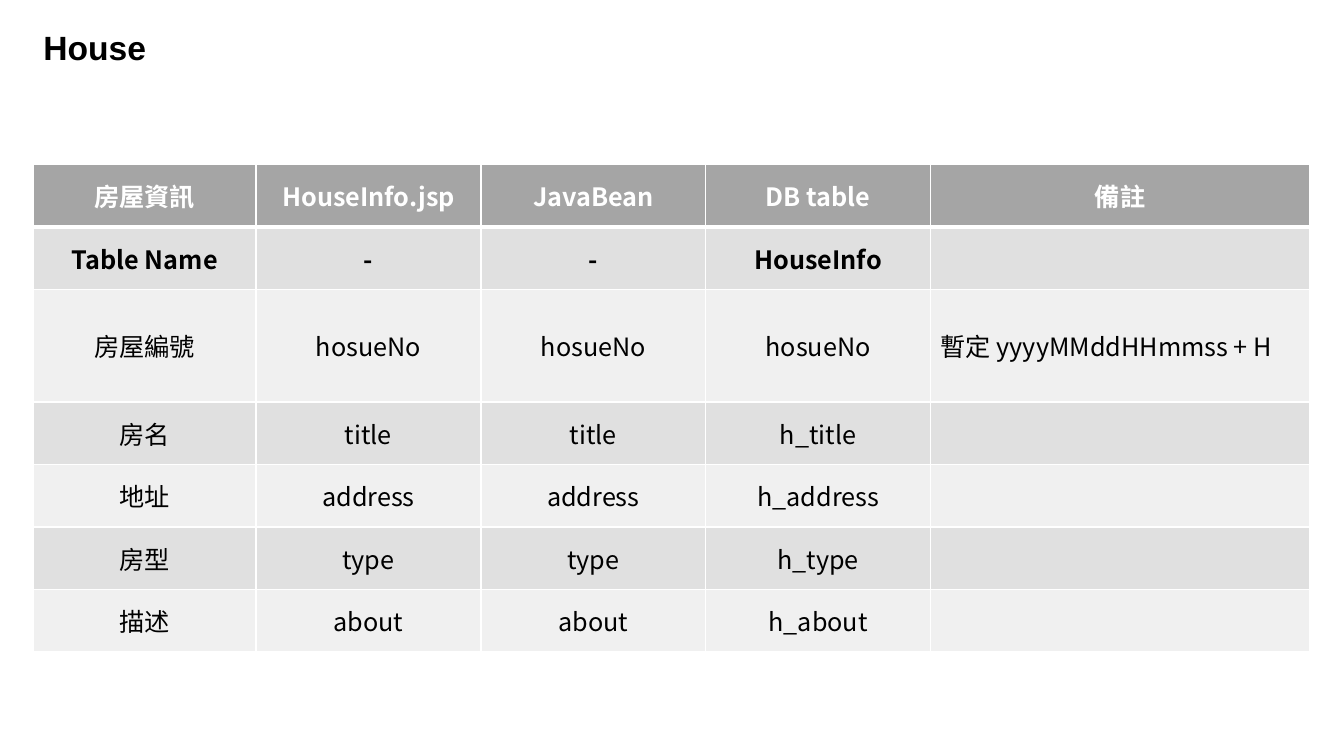
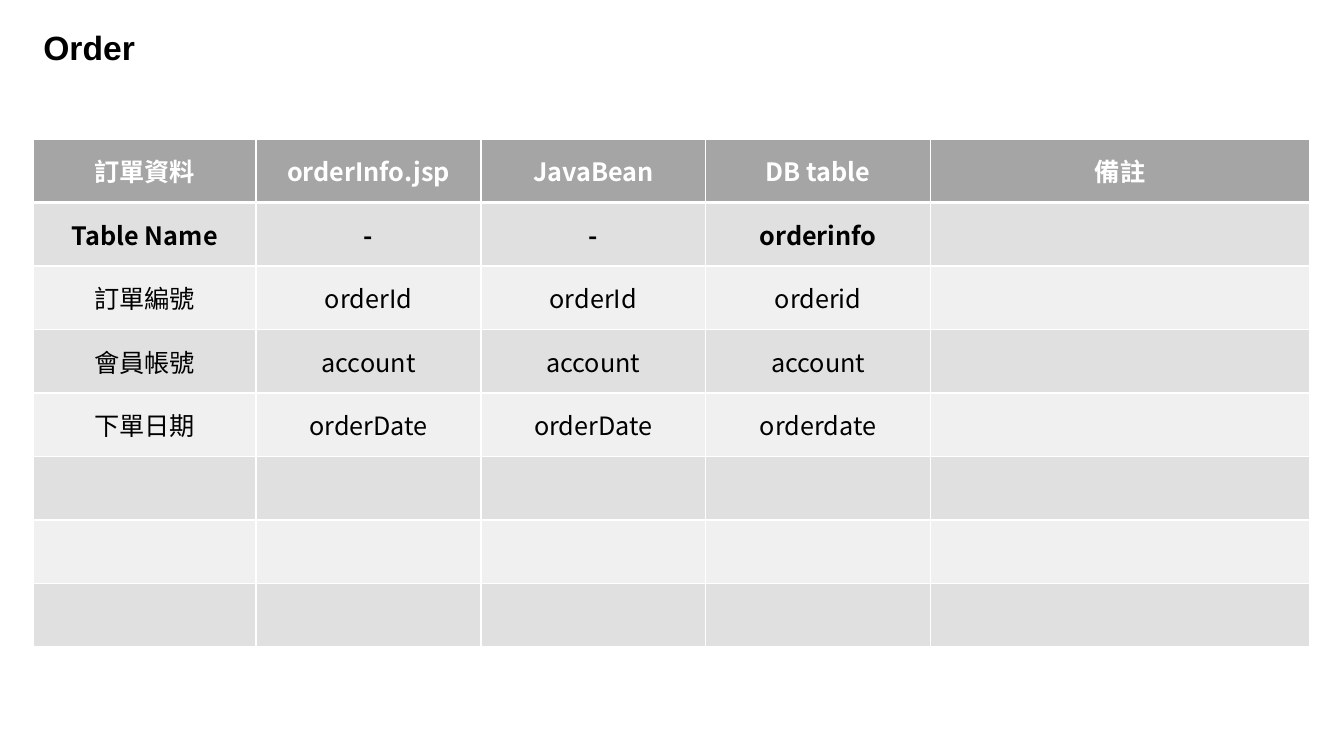
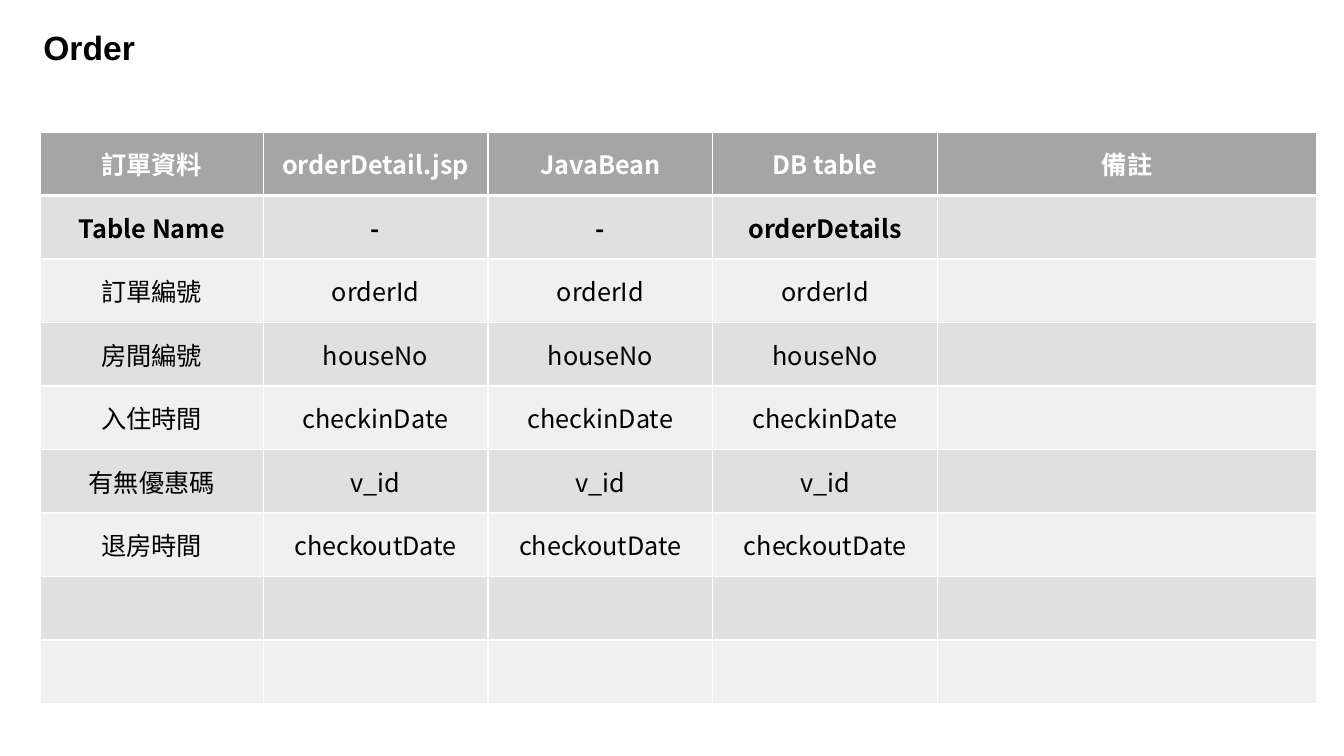
from lxml.etree import SubElement
from pptx import Presentation
from pptx.dml.color import RGBColor
from pptx.enum.text import MSO_ANCHOR, MSO_AUTO_SIZE, PP_ALIGN
from pptx.oxml.ns import qn
from pptx.util import Emu, Pt

COLORS = {
    "white": "FFFFFF",
    "black": "000000",
    "header": "A5A5A5",
    "band_dark": "E0E0E0",
    "band_light": "F0F0F0",
}
TITLE_FONT = "Arial"
TABLE_FONT = "Noto Sans CJK TC"
COL_WIDTHS = [221, 223, 223, 223, 376]
TITLE_BOX = (33, 22, 151, 50)

HOUSE = [
    ["房屋資訊", "HouseInfo.jsp", "JavaBean", "DB table", "備註"],
    ["Table Name", "-", "-", "HouseInfo", ""],
    ["房屋編號", "hosueNo", "hosueNo", "hosueNo", "暫定 yyyyMMddHHmmss + H"],
    ["房名", "title", "title", "h_title", ""],
    ["地址", "address", "address", "h_address", ""],
    ["房型", "type", "type", "h_type", ""],
    ["描述", "about", "about", "h_about", ""],
]
EMPTY_ROW = [""] * len(COL_WIDTHS)
ORDER_INFO = [
    ["訂單資料", "orderInfo.jsp", "JavaBean", "DB table", "備註"],
    ["Table Name", "-", "-", "orderinfo", ""],
    ["訂單編號", "orderId", "orderId", "orderid", ""],
    ["會員帳號", "account", "account", "account", ""],
    ["下單日期", "orderDate", "orderDate", "orderdate", ""],
] + [EMPTY_ROW] * 3
ORDER_DETAIL = [
    ["訂單資料", "orderDetail.jsp", "JavaBean", "DB table", "備註"],
    ["Table Name", "-", "-", "orderDetails", ""],
    ["訂單編號", "orderId", "orderId", "orderId", ""],
    ["房間編號", "houseNo", "houseNo", "houseNo", ""],
    ["入住時間", "checkinDate", "checkinDate", "checkinDate", ""],
    ["有無優惠碼", "v_id", "v_id", "v_id", ""],
    ["退房時間", "checkoutDate", "checkoutDate", "checkoutDate", ""],
] + [EMPTY_ROW] * 2


def px(n):
    """Convert px to EMU at 100 px to the inch."""
    return Emu(n * 9144)


def color(name):
    return RGBColor.from_string(COLORS[name])


def style_font(font, name, size, color_name, bold):
    font.name = name
    font.size = Pt(size)
    font.bold = bold
    font.color.rgb = color(color_name)


def add_titled_slide(prs, title):
    s = prs.slides.add_slide(prs.slide_layouts[5])
    sp = s.shapes.title
    sp.left, sp.top, sp.width, sp.height = map(px, TITLE_BOX)
    tf = sp.text_frame
    tf.text = title
    tf.word_wrap = True
    tf.auto_size = MSO_AUTO_SIZE.SHAPE_TO_FIT_TEXT
    tf.vertical_anchor = MSO_ANCHOR.TOP
    p = tf.paragraphs[0]
    p.alignment = PP_ALIGN.LEFT
    style_font(p.runs[0].font, TITLE_FONT, 24, "black", True)
    return s


def set_borders(cell, top, bottom):
    """Draw white borders; top and bottom are widths in points."""
    tcPr = cell._tc.get_or_add_tcPr()
    for side, width in (("L", 1), ("R", 1), ("T", top), ("B", bottom)):
        ln = SubElement(tcPr, qn(f"a:ln{side}"), w=str(Pt(width)))
        fill = SubElement(ln, qn("a:solidFill"))
        SubElement(fill, qn("a:srgbClr"), val=COLORS["white"])


def fill_cell(cell, text, row, align):
    set_borders(cell, top=3 if row == 1 else 1, bottom=3 if row == 0 else 1)
    band = "header" if row == 0 else "band_dark" if row % 2 else "band_light"
    cell.fill.solid()
    cell.fill.fore_color.rgb = color(band)
    cell.vertical_anchor = MSO_ANCHOR.MIDDLE
    if not text:
        return
    cell.text = text
    p = cell.text_frame.paragraphs[0]
    p.alignment = align
    r = p.runs[0]
    style_font(r.font, TABLE_FONT, 18, "black" if row else "white", row < 2)
    SubElement(r._r.get_or_add_rPr(), qn("a:ea"), typeface=TABLE_FONT)


def add_field_table(s, left, top, rows, row_heights):
    frame = s.shapes.add_table(
        len(rows), len(COL_WIDTHS), px(left), px(top),
        px(sum(COL_WIDTHS)), px(sum(row_heights)))
    table = frame.table
    table.first_row = table.horz_banding = False
    for col, width in zip(table.columns, COL_WIDTHS):
        col.width = px(width)
    for i, (values, height) in enumerate(zip(rows, row_heights)):
        table.rows[i].height = px(height)
        for j, text in enumerate(values):
            is_note = i > 0 and j == len(COL_WIDTHS) - 1
            align = PP_ALIGN.LEFT if is_note else PP_ALIGN.CENTER
            fill_cell(table.cell(i, j), text, i, align)


def main():
    prs = Presentation()
    prs.slide_width, prs.slide_height = px(1333), px(750)
    for title, left, top, rows, row_heights in (
        ("House", 33, 163, HOUSE, [62, 62, 112] + [62] * 4),
        ("Order", 33, 138, ORDER_INFO, [63] * len(ORDER_INFO)),
        ("Order", 40, 131, ORDER_DETAIL, [63] * len(ORDER_DETAIL)),
    ):
        s = add_titled_slide(prs, title)
        add_field_table(s, left, top, rows, row_heights)
    prs.save("out.pptx")


if __name__ == "__main__":
    main()
